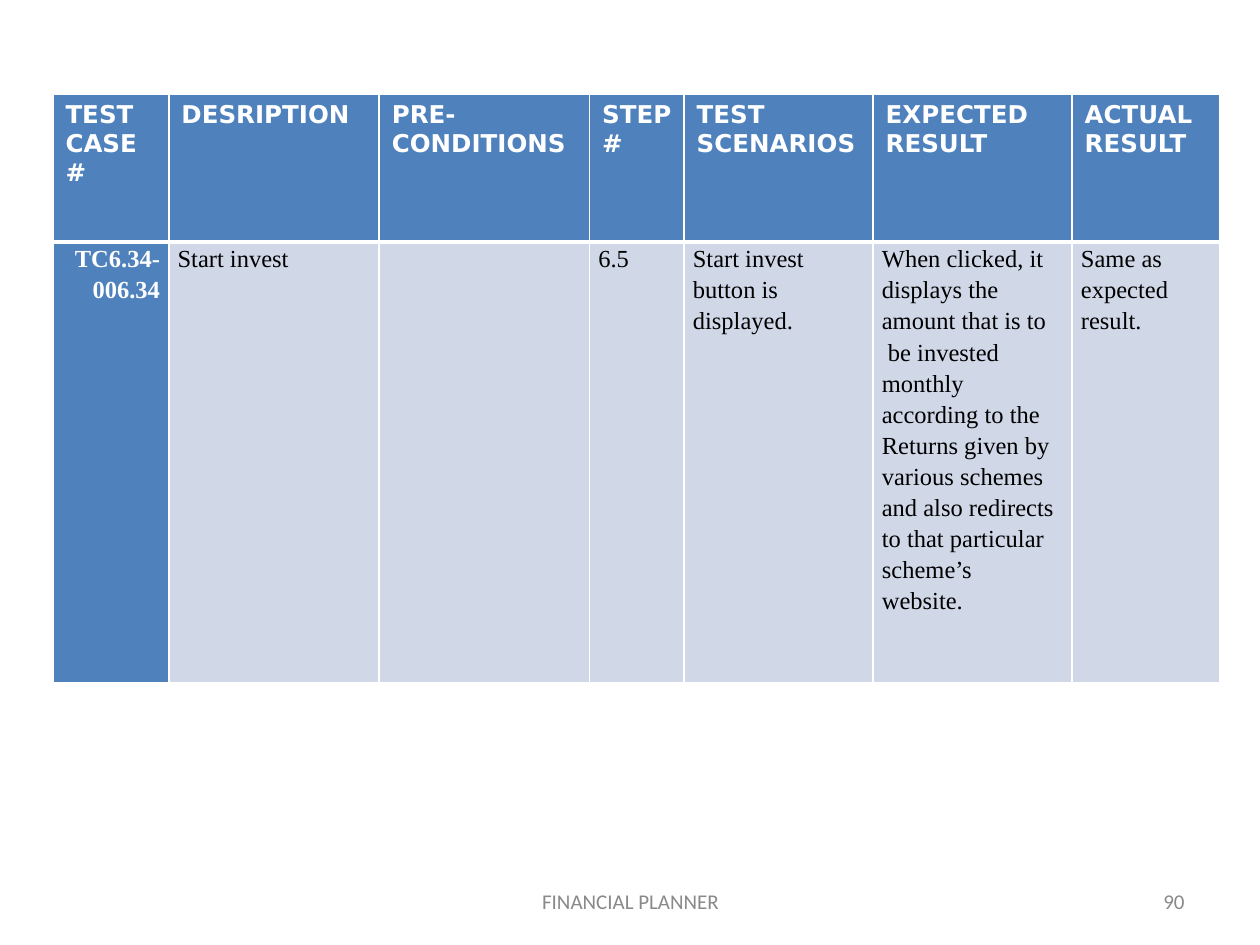
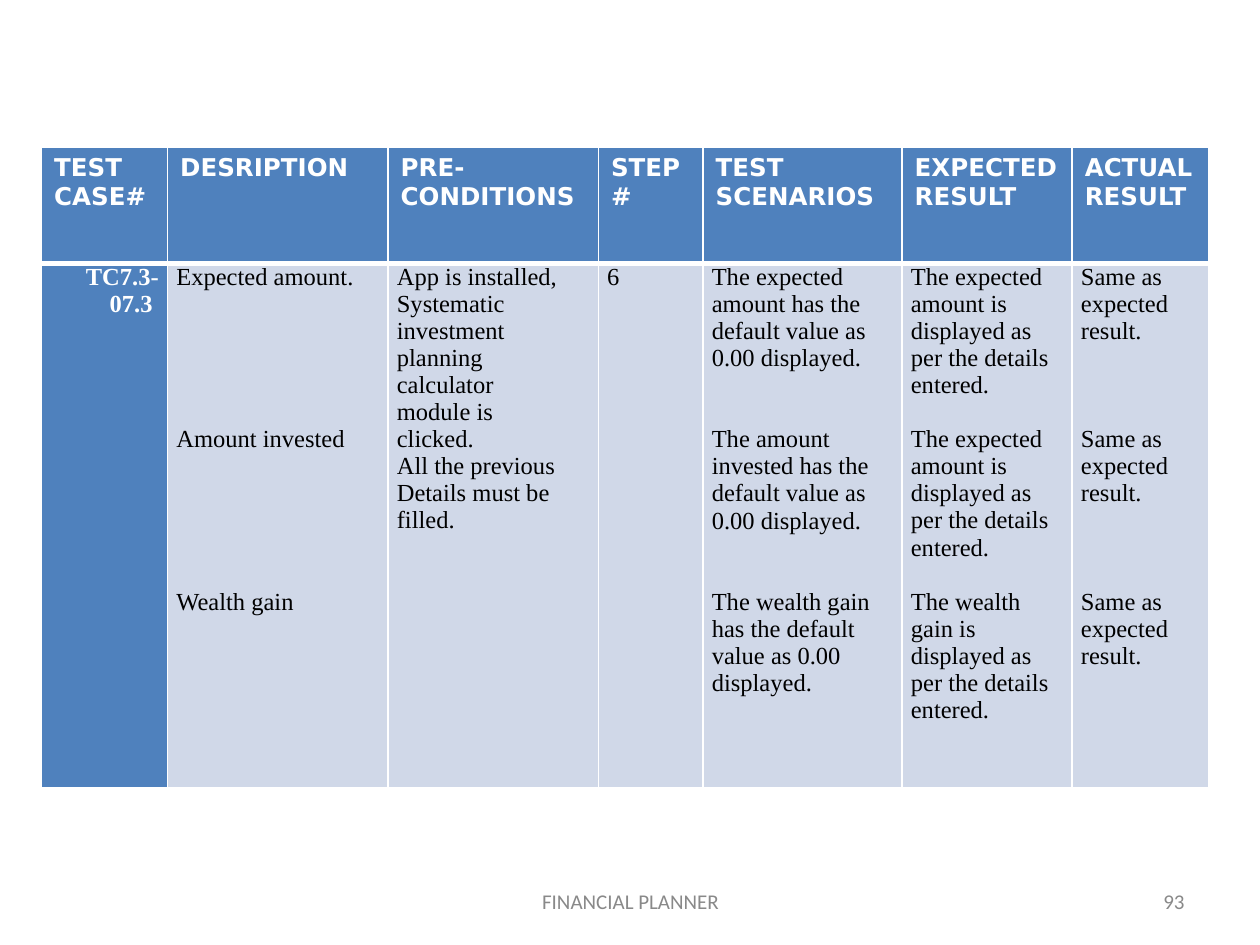
from lxml import etree
from pptx import Presentation
from pptx.dml.color import RGBColor
from pptx.enum import text
from pptx.oxml import ns
from pptx.util import Inches, Pt

WHITE = RGBColor(0xFF, 0xFF, 0xFF)
BLACK = RGBColor(0x00, 0x00, 0x00)
BLUE = RGBColor(0x4F, 0x81, 0xBD)
PALE_BLUE = RGBColor(0xD0, 0xD8, 0xE8)
GREY = RGBColor(0x89, 0x89, 0x89)
HEADER_FONT, BODY_FONT, FOOTER_FONT = "DejaVu Sans", "Times New Roman", "Calibri"
LINE_HEIGHT = 15.5  # points taken by one line of 14 pt body text
LEFT, CENTER, RIGHT = text.PP_ALIGN.LEFT, text.PP_ALIGN.CENTER, text.PP_ALIGN.RIGHT

# Content: each cell is a list of paragraphs
HEADINGS = [["TEST CASE#"], ["DESRIPTION"], ["PRE-", "CONDITIONS"], ["STEP#"],
            ["TEST SCENARIOS"], ["EXPECTED RESULT"], ["ACTUAL RESULT"]]
FOOTER = "FINANCIAL PLANNER"
SAME = "Same as expected result."
AMOUNT_SHOWN = "The expected amount is displayed as per the details entered."

# "gaps" gives the empty lines between paragraphs, by column
TEST_CASES = [
    {
        "page": "90", "left": 0.42, "top": 0.75, "line_spacing": 1.15,
        "columns": [0.92, 1.67, 1.67, 0.75, 1.5, 1.58, 1.17],
        "rows": [1.17, 3.5],
        "gaps": {},
        "cells": [
            ["TC6.34-006.34"],
            ["Start invest"],
            [],
            ["6.5"],
            ["Start invest", "button is", "displayed."],
            ["When clicked, it", "displays the", "amount that is to", " be invested",
             "monthly", "according to the", "Returns given by", "various schemes",
             "and also redirects", "to that particular", "scheme’s", "website."],
            ["Same as", "expected", "result."],
        ],
    },
    {
        "page": "93", "left": 0.33, "top": 1.17, "line_spacing": 1.0,
        "columns": [1, 1.75, 1.67, 0.83, 1.58, 1.35, 1.08],
        "rows": [0.92, 4.16],
        "gaps": {1: 5, 4: 2, 5: 1, 6: 3},
        "cells": [
            ["TC7.3-07.3 "],
            ["Expected amount.", "Amount invested", "Wealth gain"],
            ["App is installed,", "Systematic", "investment", "planning", "calculator",
             "module is", "clicked.", "All the previous", "Details must be", "filled."],
            ["6"],
            [f"The {item} has the default value as 0.00 displayed."
             for item in ("expected amount", "amount invested", "wealth gain")],
            [AMOUNT_SHOWN, AMOUNT_SHOWN,
             "The wealth gain is displayed as per the details entered."],
            [SAME] * 3,
        ],
    },
]


def write(frame, paragraphs, font, size, color, bold=False, align=LEFT,
          line_spacing=1.0, gap=0):
    frame.text = "\n".join(paragraphs)
    for number, paragraph in enumerate(frame.paragraphs):
        paragraph.alignment = align
        paragraph.line_spacing = line_spacing
        if number and gap:
            paragraph.space_before = Pt(gap * LINE_HEIGHT)
        for run in paragraph.runs:
            run.font.name, run.font.size, run.font.bold = font, Pt(size), bold
            run.font.color.rgb = color


def set_borders(cell, top, bottom):
    properties = cell._tc.get_or_add_tcPr()
    widths = {"lnL": 1, "lnR": 1, "lnT": top, "lnB": bottom}
    for place, (side, width) in enumerate(widths.items()):
        line = etree.Element(ns.qn(f"a:{side}"), w=str(Pt(width)))
        fill = etree.SubElement(line, ns.qn("a:solidFill"))
        etree.SubElement(fill, ns.qn("a:srgbClr"), val=str(WHITE))
        properties.insert(place, line)


def fill_cell(cell, color):
    cell.fill.solid()
    cell.fill.fore_color.rgb = color


def add_test_table(slide, case):
    widths, heights = case["columns"], case["rows"]
    table = slide.shapes.add_table(
        len(heights), len(widths), Inches(case["left"]), Inches(case["top"]),
        Inches(sum(widths)), Inches(sum(heights))).table
    for row, height in zip(table.rows, heights):
        row.height = Inches(height)

    for index, width in enumerate(widths):
        table.columns[index].width = Inches(width)

        # Heading
        heading = table.cell(0, index)
        fill_cell(heading, BLUE)
        set_borders(heading, 1, 3)
        write(heading.text_frame, HEADINGS[index], HEADER_FONT, 14, WHITE, bold=True)

        # Body; the first column holds the test case number
        is_number = index == 0
        body = table.cell(1, index)
        body.margin_left = body.margin_right = Inches(0.07)
        body.margin_top = body.margin_bottom = 0
        fill_cell(body, BLUE if is_number else PALE_BLUE)
        set_borders(body, 3, 1)
        write(body.text_frame, case["cells"][index], BODY_FONT, 14,
              WHITE if is_number else BLACK, bold=is_number,
              align=RIGHT if is_number else LEFT,
              line_spacing=case["line_spacing"], gap=case["gaps"].get(index, 0))


def add_footer(slide, words, left, width, align):
    box = slide.shapes.add_textbox(Inches(left), Inches(6.95), Inches(width), Inches(0.4))
    box.text_frame.word_wrap = True
    box.text_frame.vertical_anchor = text.MSO_ANCHOR.MIDDLE
    write(box.text_frame, [words], FOOTER_FONT, 12, GREY, align=align)


def main():
    deck = Presentation()
    deck.slide_width, deck.slide_height = Inches(10), Inches(7.5)
    for case in TEST_CASES:
        slide = deck.slides.add_slide(deck.slide_layouts[6])
        add_test_table(slide, case)
        add_footer(slide, case["page"], 7.17, 2.33, RIGHT)
        add_footer(slide, FOOTER, 3.42, 3.17, CENTER)
    deck.save("out.pptx")


if __name__ == "__main__":
    main()
